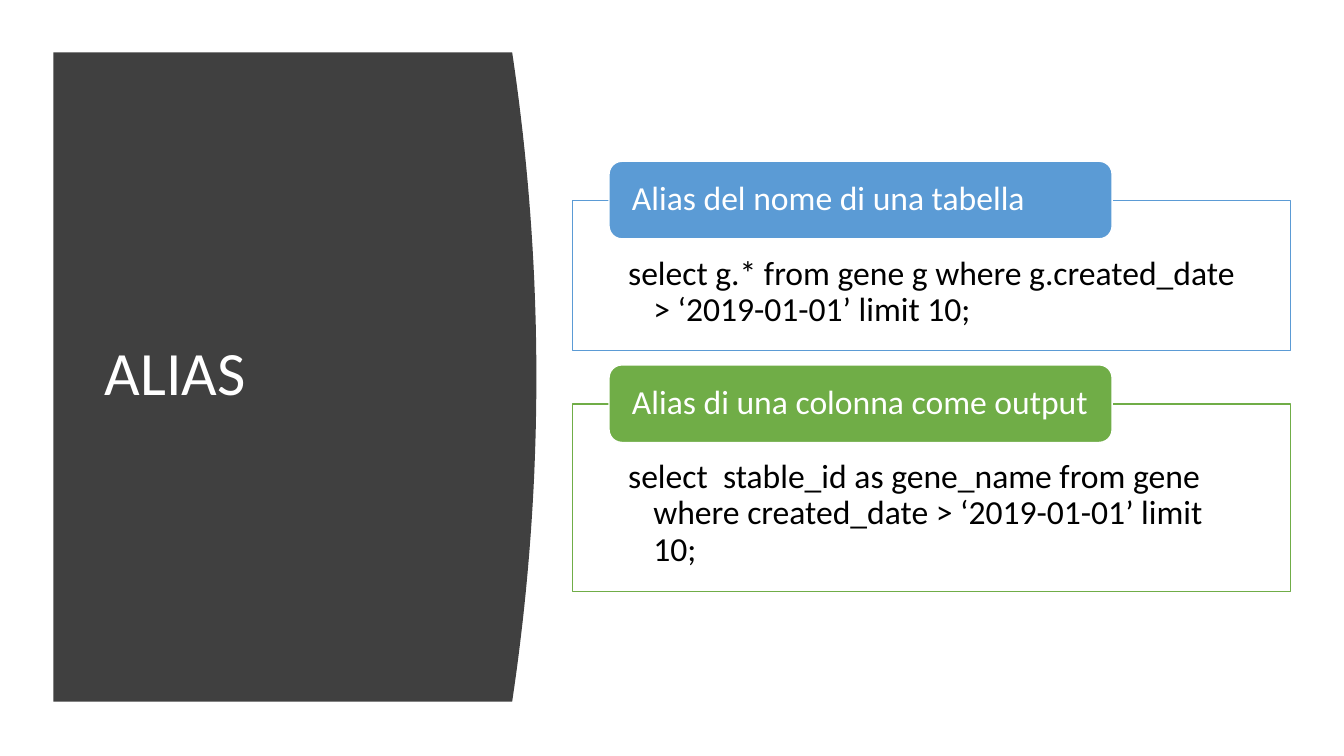
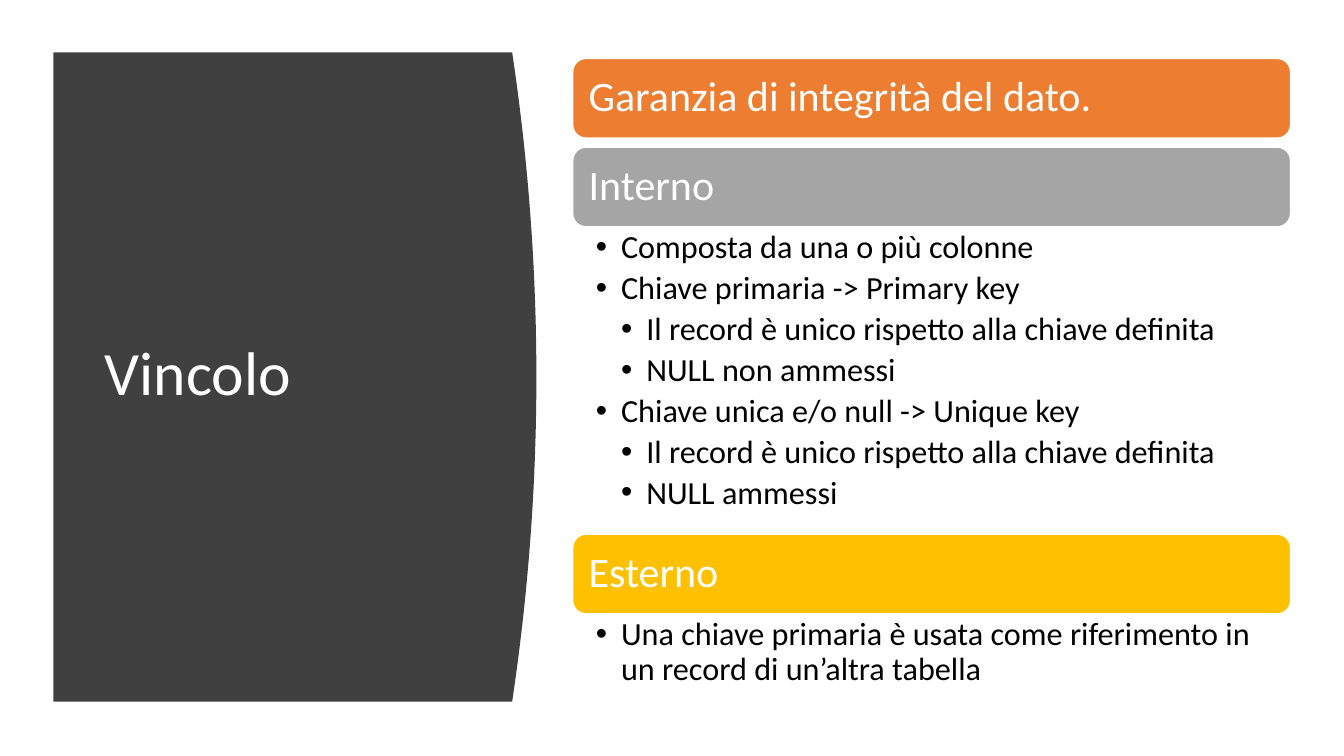
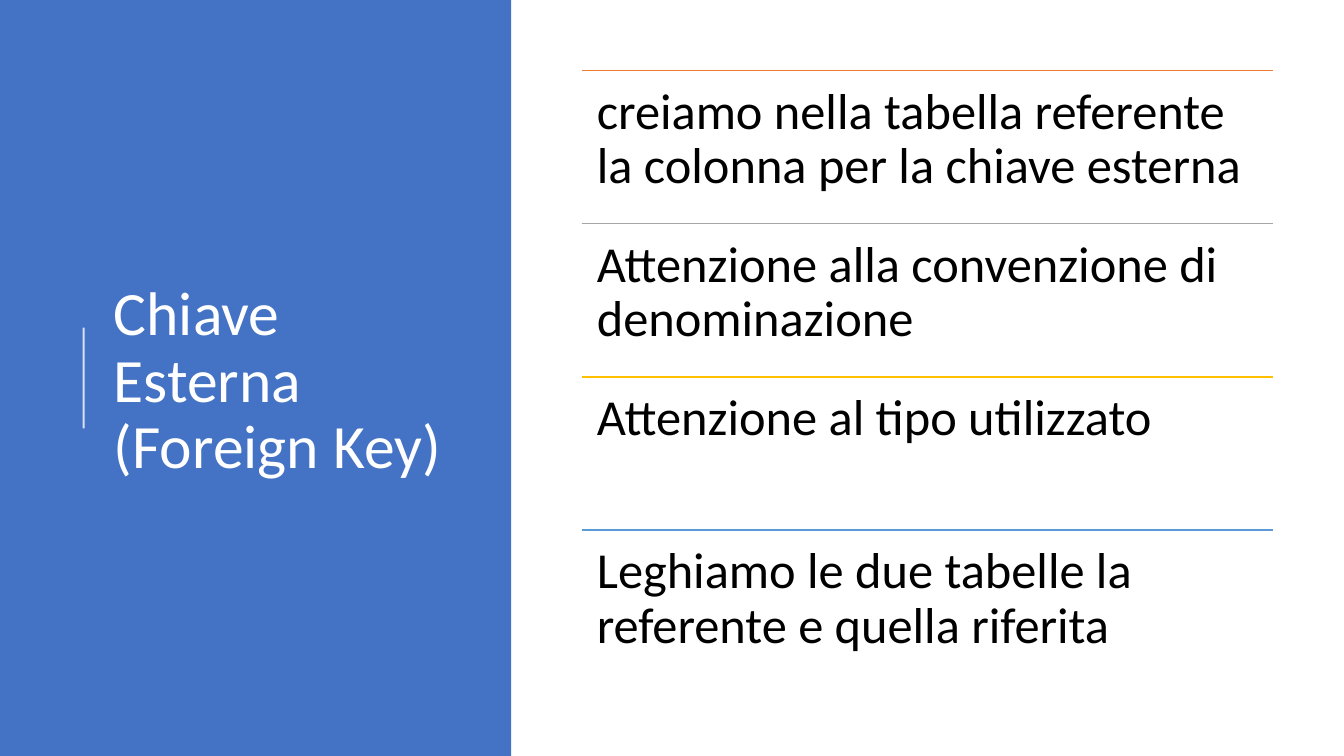
from pptx import Presentation
from pptx.dml.color import RGBColor
from pptx.enum.shapes import MSO_CONNECTOR as CONN, MSO_SHAPE as SHAPE
from pptx.enum.text import MSO_ANCHOR as ANCHOR, PP_ALIGN as ALIGN
from pptx.oxml.ns import qn
from pptx.util import Inches, Pt
from lxml.etree import SubElement

FONT = "Calibri"
WHITE = RGBColor(0xFF, 0xFF, 0xFF)
BLACK = RGBColor(0, 0, 0)
DARK = RGBColor(0x40, 0x40, 0x40)
BLUE = RGBColor(0x44, 0x72, 0xC4)
SKY = RGBColor(0x5B, 0x9B, 0xD5)
GREEN = RGBColor(0x70, 0xAD, 0x47)
ORANGE = RGBColor(0xED, 0x7D, 0x31)
GRAY = RGBColor(0xA5, 0xA5, 0xA5)
GOLD = RGBColor(0xFF, 0xC0, 0x00)

ALIASES = [
    ("Alias del nome di una tabella", SKY, 1.49,
     "select g.* from gene g where g.created_date > ‘2019-01-01’ limit 10;"),
    ("Alias di una colonna come output", GREEN, 1.86,
     "select  stable_id as gene_name from gene  where created_date > ‘2019-01-01’ limit 10;"),
]
CONSTRAINTS = [
    ("Garanzia di integrità del dato.", ORANGE, 0.09, []),
    ("Interno", GRAY, 3.05, [
        (1, "Composta da una o più colonne"),
        (1, "Chiave primaria -> Primary key"),
        (2, "Il record è unico rispetto alla chiave definita"),
        (2, "NULL non ammessi"),
        (1, "Chiave unica e/o null -> Unique key"),
        (2, "Il record è unico rispetto alla chiave definita"),
        (2, "NULL ammessi"),
    ]),
    ("Esterno", GOLD, 0.8, [
        (1, "Una chiave primaria è usata come riferimento in un record di un’altra tabella"),
    ]),
]
STEPS = [
    ("creiamo nella tabella referente la colonna per la chiave esterna", ORANGE),
    ("Attenzione alla convenzione di denominazione", GRAY),
    ("Attenzione al tipo utilizzato", GOLD),
    ("Leghiamo le due tabelle la referente e quella riferita", SKY),
]
LEFT, WIDTH = 5.68, 7.12


def box(*lengths):
    return [Inches(v) for v in lengths]


def write(sp, paragraphs, size, color=BLACK, insets=(0.1, 0.05, 0.1, 0.05),
          anchor=ANCHOR.TOP, after=0, bullet=False, hang=0):
    tf = sp.text_frame
    tf.word_wrap = True
    tf.vertical_anchor = anchor
    tf.margin_left, tf.margin_top, tf.margin_right, tf.margin_bottom = box(*insets)
    for i, (level, text) in enumerate(paragraphs):
        p = tf.paragraphs[0] if i == 0 else tf.add_paragraph()
        if hang:
            pPr = p._p.get_or_add_pPr()
            pPr.set("marL", str(Inches(hang * level)))
            pPr.set("indent", str(-Inches(hang)))
            if bullet:
                SubElement(pPr, qn("a:buFont"), typeface="Arial")
                SubElement(pPr, qn("a:buChar"), char="•")
        p.alignment = ALIGN.LEFT
        p.line_spacing = 0.9
        p.space_after = Pt(after)
        r = p.add_run()
        r.text = text
        r.font.name, r.font.size, r.font.color.rgb = FONT, Pt(size), color


def paint(sp, fill, line=None):
    sp.shadow.inherit = False
    sp.fill.solid()
    sp.fill.fore_color.rgb = fill
    if line is None:
        sp.line.fill.background()
    else:
        sp.line.color.rgb = line
        sp.line.width = Pt(1)
    return sp


def add_box(s, kind, at, fill, line=None):
    return paint(s.shapes.add_shape(kind, *box(*at)), fill, line)


def add_text(s, at, paragraphs, size, **fmt):
    write(s.shapes.add_textbox(*box(*at)), paragraphs, size, **fmt)


def add_line(s, start, end, color, width=1, opacity=None):
    line = s.shapes.add_connector(CONN.STRAIGHT, *box(*start, *end))
    SubElement(line._element.spPr, qn("a:effectLst"))
    line.line.color.rgb = color
    line.line.width = Pt(width)
    if opacity:
        clr = line._element.spPr.find(".//" + qn("a:srgbClr"))
        SubElement(clr, qn("a:alpha"), val=str(opacity * 1000))


def add_title(s, text, at):
    add_text(s, at, [(0, text)], 44, color=WHITE, anchor=ANCHOR.MIDDLE)


def curved_slide(prs, title):
    s = prs.slides.add_slide(prs.slide_layouts[6])
    left, top, bottom, corner, bulge, steps = 0.53, 0.52, 6.96, 5.08, 0.24, 40
    edge = []
    for i in range(steps + 1):
        t = i / steps
        x = corner + bulge * 4 * t * (1 - t)
        edge.append(tuple(box(x, top + t * (bottom - top))))
    fb = s.shapes.build_freeform(*box(left, top))
    fb.add_line_segments(edge + [tuple(box(left, bottom))], close=True)
    paint(fb.convert_to_shape(), DARK)
    add_title(s, title, (0.94, 1.11, 3.74, 5.24))
    return s


def alias_slide(prs):
    s = curved_slide(prs, "ALIAS")
    y = 1.99
    for heading, color, height, code in ALIASES:
        frame = add_box(s, SHAPE.RECTANGLE, (LEFT, y, WIDTH, height), WHITE, color)
        write(frame, [(1, code)], 24, insets=(0.55, 0.55, 0.55, 0.19), hang=0.25)
        tab = add_box(s, SHAPE.ROUNDED_RECTANGLE, (6.04, y - 0.39, 4.99, 0.77), color, WHITE)
        write(tab, [(0, heading)], 24, color=WHITE, insets=(0.19, 0, 0.19, 0),
              anchor=ANCHOR.MIDDLE)
        y += height + 0.53


def constraint_slide(prs):
    s = curved_slide(prs, "Vincolo")
    y, bar_height = 0.58, 0.79
    for heading, color, space, bullets in CONSTRAINTS:
        bar = add_box(s, SHAPE.ROUNDED_RECTANGLE, (LEFT, y, WIDTH, bar_height), color, WHITE)
        write(bar, [(0, heading)], 30, color=WHITE, insets=[0.12] * 4, anchor=ANCHOR.MIDDLE)
        y += bar_height
        if bullets:
            add_text(s, (LEFT, y, WIDTH, space), bullets, 23, after=4.4,
                     insets=(0.23, 0.04, 0.23, 0.04), bullet=True, hang=0.25)
        y += space


def foreign_key_slide(prs):
    s = prs.slides.add_slide(prs.slide_layouts[6])
    add_box(s, SHAPE.RECTANGLE, (0, 0, 5.07, 7.5), BLUE)
    add_title(s, "Chiave Esterna (Foreign Key)", (1.03, 0.78, 3.69, 6.02))
    add_line(s, (0.83, 4.25), (0.83, 3.25), WHITE, width=1.5, opacity=80)
    left, top, width, pitch = 5.77, 0.7, 6.86, 1.52
    for i, (text, color) in enumerate(STEPS):
        y = top + i * pitch
        add_line(s, (left, y), (left + width, y), color)
        add_text(s, (left, y, width, pitch), [(0, text)], 36, insets=[0.15] * 4)


def main():
    prs = Presentation()
    prs.slide_width, prs.slide_height = box(13.33, 7.5)
    alias_slide(prs)
    constraint_slide(prs)
    foreign_key_slide(prs)
    prs.save("out.pptx")


if __name__ == "__main__":
    main()
